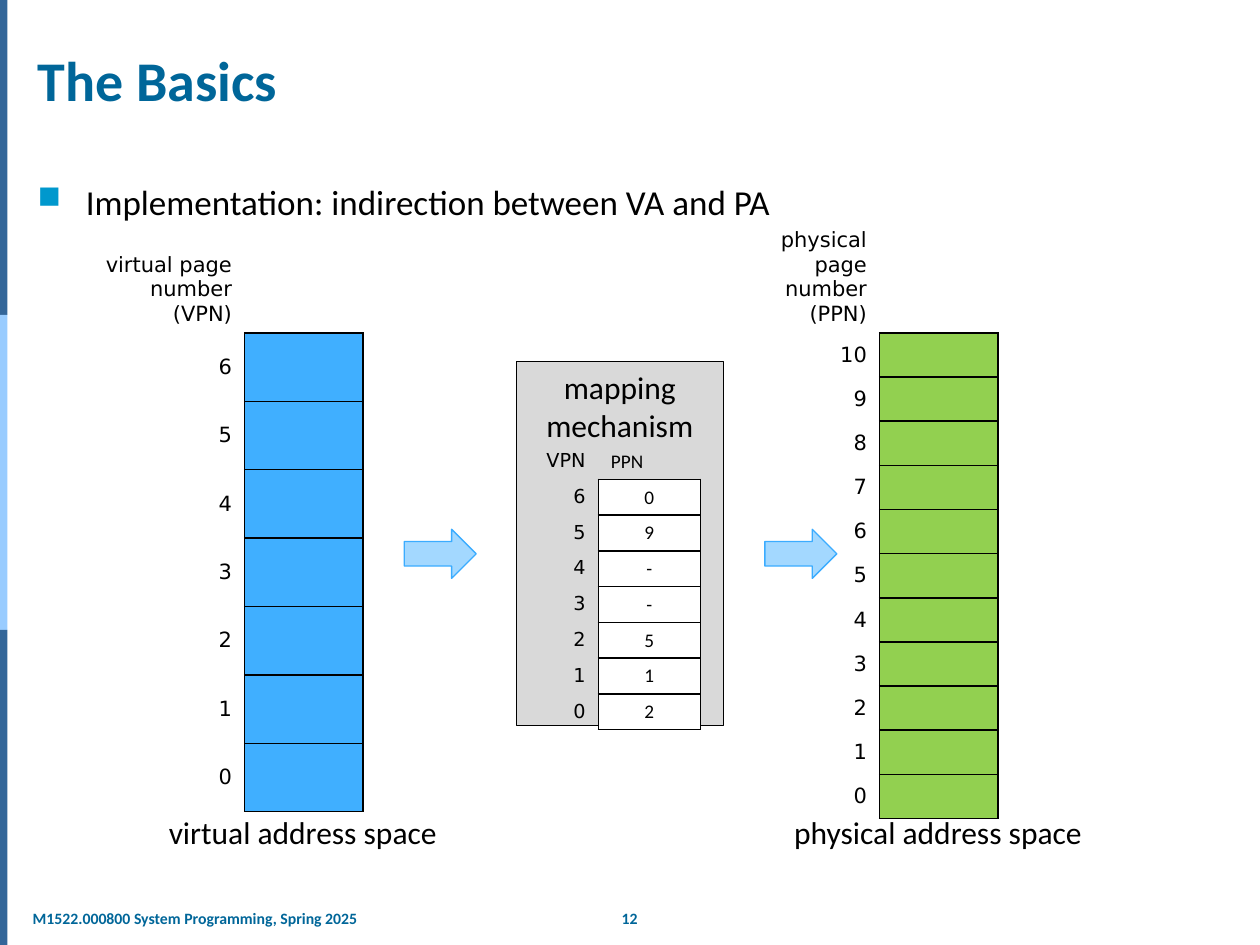
from pptx import Presentation, util as u
from pptx.dml.color import RGBColor
from pptx.enum import shapes, text
from pptx.oxml import parse_xml
from pptx.oxml.ns import nsdecls

ALIGN = text.PP_ALIGN
ANCHOR = text.MSO_ANCHOR
NO_STYLE = "{2D5ABB26-0587-4C30-8999-92F81FD0307C}"


def color(hex_code):
    return RGBColor.from_string(hex_code)


class Lecture:
    body_font, number_font = "Calibri", "DejaVu Sans"
    ink, heading = "000000", "006699"

    def __init__(self, slide):
        self.slide = slide

    def fill_text(self, frame, content, size, hue=None, bold=False, font=None, align=ALIGN.LEFT):
        frame.text = content
        for paragraph in frame.paragraphs:
            paragraph.alignment = align
            for run in paragraph.runs:
                run.font.size = u.Pt(size)
                run.font.name = font or self.body_font
                run.font.bold = bold
                run.font.color.rgb = color(hue or self.ink)

    def label(self, place, content, size, wrap=False, anchor=ANCHOR.TOP, **style):
        frame = self.slide.shapes.add_textbox(*map(u.Cm, place)).text_frame
        frame.word_wrap = wrap
        frame.vertical_anchor = anchor
        self.fill_text(frame, content, size, **style)
        return frame

    def bullet(self, place, content, size):
        frame = self.label(place, content, size, wrap=True)
        properties = frame.paragraphs[0]._p.get_or_add_pPr()
        properties.set("marL", str(u.Cm(0.97)))
        properties.set("indent", str(u.Cm(-0.97)))
        for element in ('buClr %s><a:srgbClr val="0098CD"/></a:buClr>',
                        'buSzPct %s val="90000"/>',
                        'buChar %s char="■"/>'):
            properties.append(parse_xml("<a:" + element % nsdecls("a")))

    def shape(self, kind, place, fill, line=None):
        shape = self.slide.shapes.add_shape(kind, *map(u.Cm, place))
        shape.shadow.inherit = False
        shape.fill.solid()
        shape.fill.fore_color.rgb = color(fill)
        if line:
            shape.line.color.rgb = color(line)
            shape.line.width = u.Pt(0.75)
        else:
            shape.line.fill.background()
        return shape

    def cell(self, cell, content, size, fill=None, sides="", anchor=ANCHOR.MIDDLE, **style):
        cell.vertical_anchor = anchor
        properties = cell._tc.get_or_add_tcPr()
        for side in sides:
            properties.append(parse_xml(
                f'<a:ln{side} {nsdecls("a")} w="12700"><a:solidFill>'
                f'<a:srgbClr val="{self.ink}"/></a:solidFill></a:ln{side}>'))
        if fill:
            cell.fill.solid()
            cell.fill.fore_color.rgb = color(fill)
        else:
            cell.fill.background()
        if content:
            self.fill_text(cell.text_frame, content, size, **style)
        else:
            ending = cell.text_frame.paragraphs[0]._p.get_or_add_endParaRPr()
            ending.set("sz", str(size * 100))

    def page_table(self, corner, widths, header_height, row_height, headers, pages, fill,
                   size=12, header_fill=None, header_anchor=ANCHOR.BOTTOM,
                   number_anchor=ANCHOR.MIDDLE):
        heights = [header_height] + [row_height] * len(pages)
        extent = (*corner, sum(widths), sum(heights))
        table = self.slide.shapes.add_table(len(heights), 2, *map(u.Cm, extent)).table
        table._tbl.tblPr.find("{*}tableStyleId").text = NO_STYLE
        table.first_row = table.horz_banding = False
        for column, width in zip(table.columns, widths):
            column.width = u.Cm(width)
        for row, height in zip(table.rows, heights):
            row.height = u.Cm(height)
        for index, (content, frame) in enumerate([headers] + pages):
            number, slot = table.cell(index, 0), table.cell(index, 1)
            number.margin_left = 0
            self.cell(number, content, size, sides="R" if index else "",
                      anchor=number_anchor if index else header_anchor,
                      font=self.number_font, align=ALIGN.RIGHT)
            if index:
                self.cell(slot, frame, size, fill, "LRTB", align=ALIGN.CENTER)
            else:
                self.cell(slot, frame, size, header_fill, "B", header_anchor)


def empty_pages(count):
    return [(str(page), "") for page in reversed(range(count))]


def main():
    deck = Presentation()
    deck.slide_width, deck.slide_height = u.Cm(25.4), u.Cm(19.05)
    lecture = Lecture(deck.slides.add_slide(deck.slide_layouts[6]))
    kinds = shapes.MSO_SHAPE

    for band, fill in enumerate(("336699", "99CCFF", "336699")):
        lecture.shape(kinds.RECTANGLE, (0, band * 6.35, 0.15, 6.35), fill)

    footer = dict(size=9, hue=lecture.heading, bold=True)
    lecture.label((12.24, 18.19, 0.91, 0.64), "12", align=ALIGN.CENTER, **footer)
    course = lecture.label((0.51, 18.19, 6.91, 0.64),
                           "M1522.000800 System Programming, Spring 2025", **footer)
    course.margin_left = course.margin_right = u.Cm(0.15)

    lecture.label((0.51, 0.79, 24.51, 1.6), "The Basics", 32, wrap=True,
                  anchor=ANCHOR.BOTTOM, hue=lecture.heading, bold=True)
    lecture.bullet((0.51, 3.51, 24.51, 14.5),
                   "Implementation: indirection between VA and PA", 20)

    for left, width, space in ((3.12, 5.97, "virtual"), (15.72, 6.38, "physical")):
        lecture.label((left, 16.26, width, 1.02), f"{space} address space", 18,
                      align=ALIGN.CENTER)

    mapping = lecture.shape(kinds.RECTANGLE, (10.41, 7.29, 4.17, 7.34), "D9D9D9", lecture.ink)
    mapping.text_frame.word_wrap = False
    mapping.text_frame.vertical_anchor = ANCHOR.TOP
    lecture.fill_text(mapping.text_frame, "mapping\nmechanism", 18, align=ALIGN.CENTER)
    for left in (8.15, 15.42):
        lecture.shape(kinds.RIGHT_ARROW, (left, 10.67, 1.45, 0.99), "A3D8FF", "3BACFF")

    translations = list(zip("6543210", "09--512"))
    lecture.page_table((10.69, 8.94), (1.37, 2.06), 0.72, 0.72, ("VPN", "PPN"),
                       translations, "FFFFFF", size=11, header_anchor=ANCHOR.TOP,
                       number_anchor=ANCHOR.TOP)
    widths = (2.92, 2.39)
    lecture.page_table((2.01, 4.93), widths, 1.78, 1.38, ("virtual page number (VPN)", ""),
                       empty_pages(7), "40AFFF", header_fill="FFFFFF")
    lecture.page_table((14.81, 4.42), widths, 2.29, 0.89, ("physical page number (PPN)", ""),
                       empty_pages(11), "92D050", header_fill="FFFFFF")

    deck.save("out.pptx")


if __name__ == "__main__":
    main()
